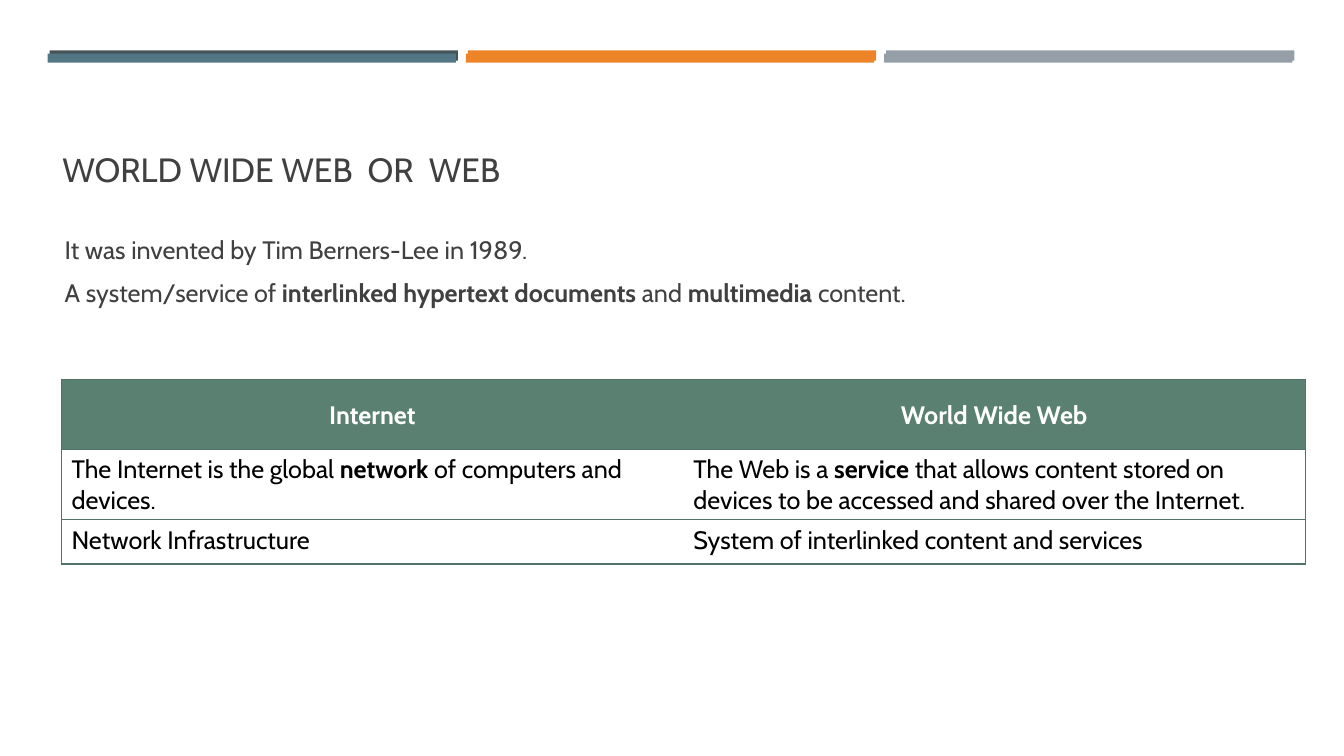
from dataclasses import dataclass

from lxml import etree
from pptx import Presentation
from pptx.dml.color import RGBColor
from pptx.enum.shapes import MSO_SHAPE
from pptx.enum.text import MSO_ANCHOR, PP_ALIGN
from pptx.oxml.ns import qn
from pptx.util import Cm, Pt

RECTANGLE = MSO_SHAPE.RECTANGLE
TOP, BOTTOM = MSO_ANCHOR.TOP, MSO_ANCHOR.BOTTOM
CENTER = PP_ALIGN.CENTER

FONT = "Cabin"
DARK, BLACK, WHITE = "404040", "000000", "FFFFFF"
HEADER_GREEN, BORDER_GREEN = "5A8071", "517366"


@dataclass
class BarRow:
    left: float
    top: float
    height: float
    colors: tuple


@dataclass
class TextBlock:
    left: float
    top: float
    width: float
    height: float
    size: int
    anchor: MSO_ANCHOR
    lines: list


BAR_WIDTH, BAR_PITCH = 10.29, 10.54
BAR_ROWS = [
    BarRow(1.25, 1.27, 0.26, ("465359", "ED8428", "969FA7")),
    BarRow(1.2, 1.35, 0.23, ("537685", "ED8428", "969FA7")),
]

# Each line is a list of pieces; every second piece is bold
TITLE = TextBlock(1.32, 2.0, 30.8, 2.9, 24, BOTTOM, [["WORLD WIDE WEB  OR  WEB"]])
BODY = TextBlock(1.38, 5.79, 25.63, 3.12, 18, TOP, [
    ["It was invented by Tim Berners-Lee in 1989."],
    ["A system/service of ", "interlinked hypertext documents ", "and ",
     "multimedia", " content."],
])

TABLE_LEFT, TABLE_TOP, COLUMN_WIDTH = 1.55, 9.56, 15.67
ROW_HEIGHTS = (1.76, 1.78, 1.11)
TABLE_ROWS = [
    [["", "Internet"], ["", "World Wide Web"]],
    [["The Internet is the global", " network", " of computers and devices."],
     ["The Web is a ", "service ", "that allows content stored on devices "
      "to be accessed and shared over the Internet."]],
    [["Network Infrastructure"], ["System of interlinked content and services"]],
]


def color(value: str) -> RGBColor:
    return RGBColor.from_string(value)


def set_attributes(target, values: dict) -> None:
    for name, value in values.items():
        setattr(target, name, value)


def write_spans(para, pieces: list, size: int, text_color: str) -> None:
    for index, piece in enumerate(pieces):
        if piece:
            span = para.add_run()
            span.text = piece
            set_attributes(span.font, {"name": FONT, "size": Pt(size), "bold": index % 2 == 1})
            span.font.color.rgb = color(text_color)


def draw_bars(page, row: BarRow) -> None:
    for index, fill in enumerate(row.colors):
        bar = page.shapes.add_shape(RECTANGLE, Cm(row.left + index * BAR_PITCH), Cm(row.top),
                                    Cm(BAR_WIDTH), Cm(row.height))
        bar.shadow.inherit = False
        bar.fill.solid()
        bar.fill.fore_color.rgb = color(fill)
        bar.line.fill.background()


def draw_text(page, block: TextBlock) -> None:
    box = page.shapes.add_textbox(Cm(block.left), Cm(block.top), Cm(block.width), Cm(block.height))
    frame = box.text_frame
    set_attributes(frame, {"word_wrap": True, "vertical_anchor": block.anchor})
    for index, pieces in enumerate(block.lines):
        para = frame.add_paragraph() if index else frame.paragraphs[0]
        if index:
            set_attributes(para, {"space_before": Pt(9)})
        write_spans(para, pieces, block.size, DARK)


def set_borders(cell, visible: dict) -> None:
    properties = cell._tc.get_or_add_tcPr()
    for side, shown in visible.items():
        line = etree.SubElement(properties, qn(f"a:ln{side}"), w=str(Pt(1)))
        if shown:
            fill = etree.SubElement(line, qn("a:solidFill"))
            etree.SubElement(fill, qn("a:srgbClr"), val=BORDER_GREEN)
        else:
            etree.SubElement(line, qn("a:noFill"))


def draw_table(page) -> None:
    columns = len(TABLE_ROWS[0])
    table = page.shapes.add_table(len(TABLE_ROWS), columns, Cm(TABLE_LEFT), Cm(TABLE_TOP),
                                  Cm(COLUMN_WIDTH * columns), Cm(sum(ROW_HEIGHTS))).table
    set_attributes(table, {"first_row": False, "horz_banding": False})
    for column in table.columns:
        column.width = Cm(COLUMN_WIDTH)
    for row_index, row in enumerate(TABLE_ROWS):
        table.rows[row_index].height = Cm(ROW_HEIGHTS[row_index])
        is_header = row_index == 0
        for column_index, pieces in enumerate(row):
            cell = table.cell(row_index, column_index)
            set_borders(cell, {"L": column_index == 0, "R": column_index == columns - 1,
                               "T": True, "B": True})
            para = cell.text_frame.paragraphs[0]
            if is_header:
                cell.fill.solid()
                cell.fill.fore_color.rgb = color(HEADER_GREEN)
                set_attributes(para, {"alignment": CENTER, "line_spacing": 1.5})
            else:
                cell.fill.background()
            write_spans(para, pieces, 18, WHITE if is_header else BLACK)


def main() -> None:
    deck = Presentation()
    set_attributes(deck, {"slide_width": Cm(33.87), "slide_height": Cm(19.05)})
    page = deck.slides.add_slide(deck.slide_layouts[6])

    # Coloured bars along the top
    for row in BAR_ROWS:
        draw_bars(page, row)

    # Title and introduction
    for block in (TITLE, BODY):
        draw_text(page, block)

    # Comparison of the Internet and the Web
    draw_table(page)
    deck.save("out.pptx")


if __name__ == "__main__":
    main()
